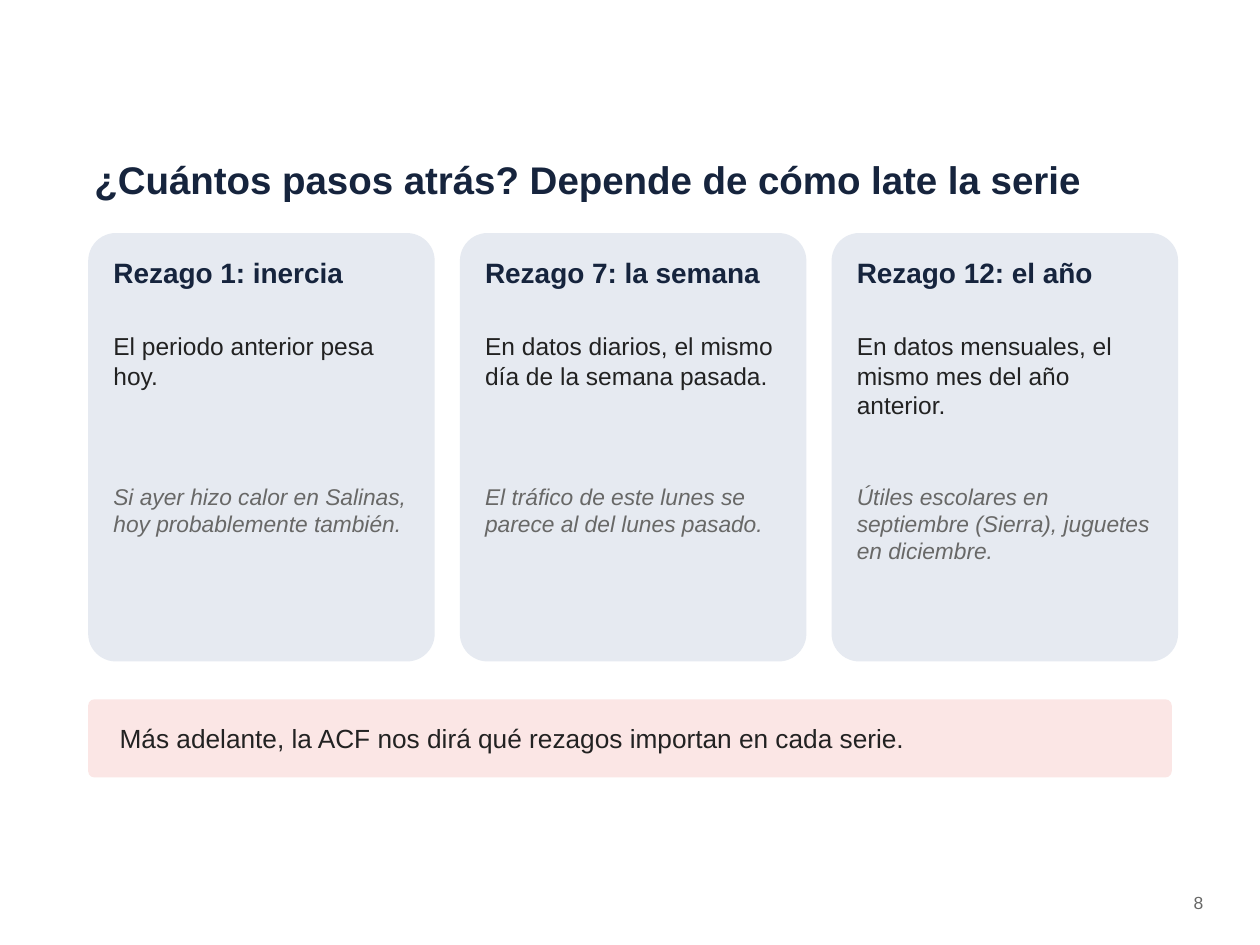
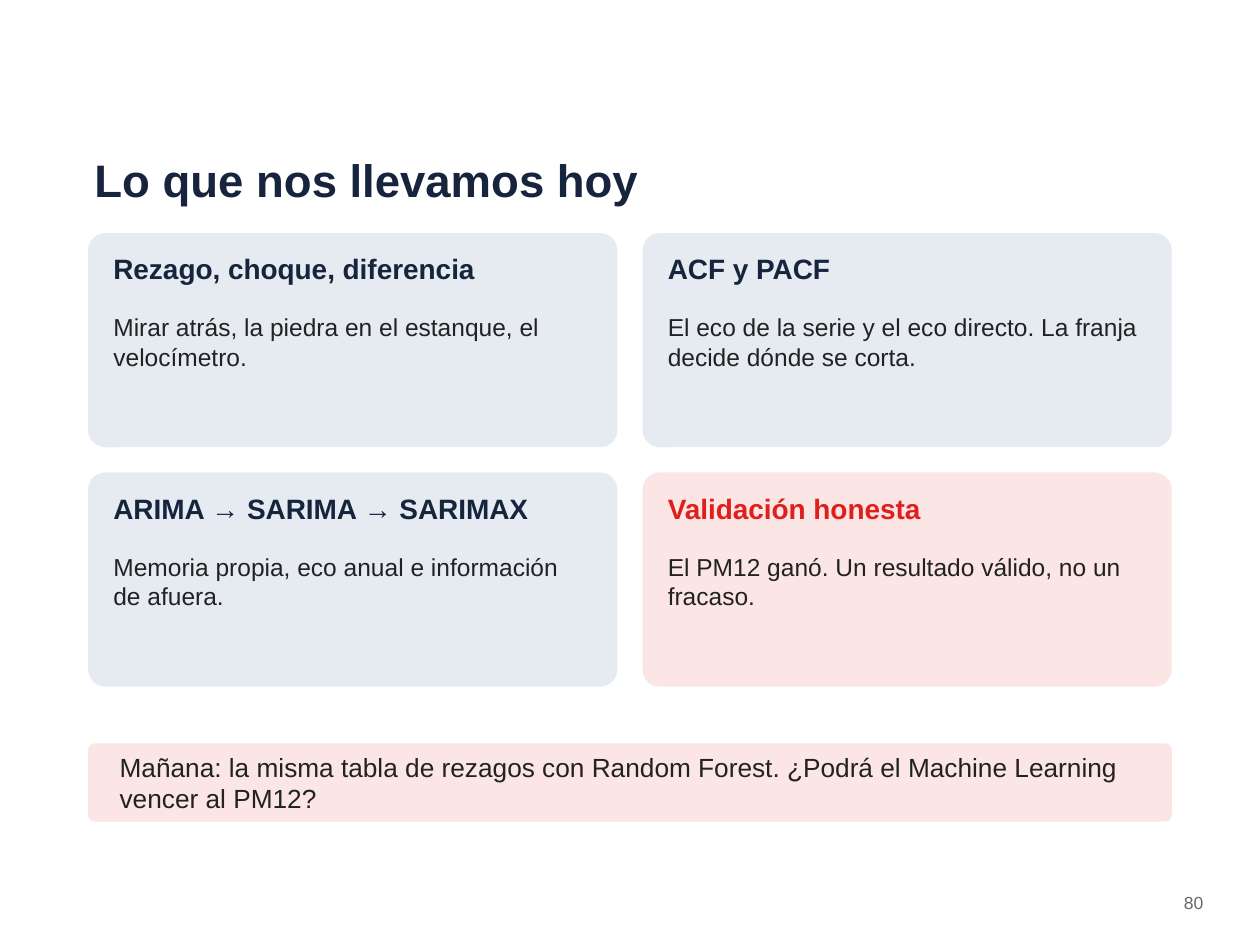
from dataclasses import dataclass

from pptx import Presentation
from pptx.dml.color import RGBColor
from pptx.enum.shapes import MSO_SHAPE
from pptx.enum.text import MSO_ANCHOR, MSO_AUTO_SIZE, PP_ALIGN
from pptx.util import Inches, Pt

ROUNDED = MSO_SHAPE.ROUNDED_RECTANGLE
TOP, MIDDLE = MSO_ANCHOR.TOP, MSO_ANCHOR.MIDDLE
LEFT, RIGHT = PP_ALIGN.LEFT, PP_ALIGN.RIGHT
GROW = MSO_AUTO_SIZE.SHAPE_TO_FIT_TEXT

# The slide is a grid of 100 columns by 75 rows of square cells
CELL = Inches(10) // 100
SLIDE_COLUMNS, SLIDE_ROWS = 100, 75
MARGIN, CONTENT_WIDTH, CARDS_TOP = 7, 86, 18.5
GAP, PADDING = 2, 1.5
BAND_HEIGHT, BAND_PADDING = 6.2, 2


def rgb(value):
    return RGBColor.from_string(value)


@dataclass(frozen=True)
class Theme:
    font: str = "Arial"
    navy: RGBColor = rgb("16243D")
    ink: RGBColor = rgb("222222")
    gray: RGBColor = rgb("686867")
    red: RGBColor = rgb("DF1F1C")
    card: RGBColor = rgb("E6EAF1")
    blush: RGBColor = rgb("FBE6E5")
    title: int = 26
    long_title: int = 22
    heading: int = 16
    band: int = 15
    body: int = 14
    example: int = 13
    page: int = 10


THEME = Theme()


@dataclass(frozen=True)
class CardLayout:
    """Card size and the (top, height) of each text line inside it, in cells."""
    columns: int
    width: float
    height: float
    lines: tuple


LAG_CARDS = CardLayout(3, 27.5, 34, ((1.5, 5), (7.5, 11), (19.5, 13)))
SUMMARY_CARDS = CardLayout(2, 42, 17, ((1.2, 4.5), (6, 10)))


def cells(*values):
    return [round(value * CELL) for value in values]


def add_text(slide, box, text, size, color, anchor=TOP, align=LEFT, **style):
    frame = slide.shapes.add_textbox(*cells(*box)).text_frame
    settings = {
        "word_wrap": True, "auto_size": GROW, "vertical_anchor": anchor,
        "margin_left": Inches(0.05), "margin_right": Inches(0.05),
        "margin_top": Inches(0.03), "margin_bottom": Inches(0.03),
    }
    for name, value in settings.items():
        setattr(frame, name, value)
    paragraph = frame.paragraphs[0]
    paragraph.alignment = align
    paragraph.space_after = Pt(4)
    run = paragraph.add_run()
    run.text = text
    run.font.color.rgb = color
    for name, value in {"name": THEME.font, "size": Pt(size), **style}.items():
        setattr(run.font, name, value)


def add_panel(slide, box, color):
    shape = slide.shapes.add_shape(ROUNDED, *cells(*box))
    shape.adjustments[0] = 0.08
    shape.shadow.inherit = False
    shape.fill.solid()
    shape.fill.fore_color.rgb = color
    shape.line.fill.background()


def add_card(slide, layout, index, texts, highlight=False):
    row, column = divmod(index, layout.columns)
    left = MARGIN + column * (layout.width + GAP)
    top = CARDS_TOP + row * (layout.height + GAP)
    fill = THEME.blush if highlight else THEME.card
    add_panel(slide, (left, top, layout.width, layout.height), fill)
    # Heading, explanation and, where there is one, example
    styles = (
        {"size": THEME.heading, "bold": True,
         "color": THEME.red if highlight else THEME.navy},
        {"size": THEME.body, "color": THEME.ink},
        {"size": THEME.example, "color": THEME.gray, "italic": True},
    )
    for text, (offset, height), style in zip(texts, layout.lines, styles):
        box = (left + PADDING, top + offset, layout.width - 2 * PADDING, height)
        add_text(slide, box, text, **style)


def add_band(slide, top, text):
    add_panel(slide, (MARGIN, top, CONTENT_WIDTH, BAND_HEIGHT), THEME.blush)
    box = (MARGIN + BAND_PADDING, top,
           CONTENT_WIDTH - 2 * BAND_PADDING, BAND_HEIGHT)
    add_text(slide, box, text, THEME.band, THEME.ink, anchor=MIDDLE)


def add_slide(presentation, title, title_size, page):
    slide = presentation.slides.add_slide(presentation.slide_layouts[6])
    add_text(slide, (MARGIN, 10.5, CONTENT_WIDTH, 7.5), title, title_size,
             THEME.navy, anchor=MIDDLE, bold=True)
    add_text(slide, (90, 70.5, 6, 3), str(page), THEME.page, THEME.gray,
             align=RIGHT)
    return slide


def build_lags(presentation):
    slide = add_slide(presentation,
                      "¿Cuántos pasos atrás? Depende de cómo late la serie",
                      THEME.long_title, 8)
    lags = (
        ("Rezago 1: inercia", "El periodo anterior pesa hoy.",
         "Si ayer hizo calor en Salinas, hoy probablemente también."),
        ("Rezago 7: la semana",
         "En datos diarios, el mismo día de la semana pasada.",
         "El tráfico de este lunes se parece al del lunes pasado."),
        ("Rezago 12: el año",
         "En datos mensuales, el mismo mes del año anterior.",
         "Útiles escolares en septiembre (Sierra), juguetes en diciembre."),
    )
    for index, texts in enumerate(lags):
        add_card(slide, LAG_CARDS, index, texts)
    add_band(slide, 55.5,
             "Más adelante, la ACF nos dirá qué rezagos importan en cada serie.")


def build_summary(presentation):
    slide = add_slide(presentation, "Lo que nos llevamos hoy", THEME.title, 80)
    takeaways = (
        ("Rezago, choque, diferencia",
         "Mirar atrás, la piedra en el estanque, el velocímetro."),
        ("ACF y PACF",
         "El eco de la serie y el eco directo. La franja decide dónde se corta."),
        ("ARIMA → SARIMA → SARIMAX",
         "Memoria propia, eco anual e información de afuera."),
        ("Validación honesta",
         "El PM12 ganó. Un resultado válido, no un fracaso."),
    )
    last = len(takeaways) - 1
    for index, texts in enumerate(takeaways):
        add_card(slide, SUMMARY_CARDS, index, texts, highlight=index == last)
    add_band(slide, 59,
             "Mañana: la misma tabla de rezagos con Random Forest. "
             "¿Podrá el Machine Learning vencer al PM12?")


def main():
    presentation = Presentation()
    presentation.slide_width = SLIDE_COLUMNS * CELL
    presentation.slide_height = SLIDE_ROWS * CELL
    build_lags(presentation)
    build_summary(presentation)
    presentation.save("out.pptx")


if __name__ == "__main__":
    main()
